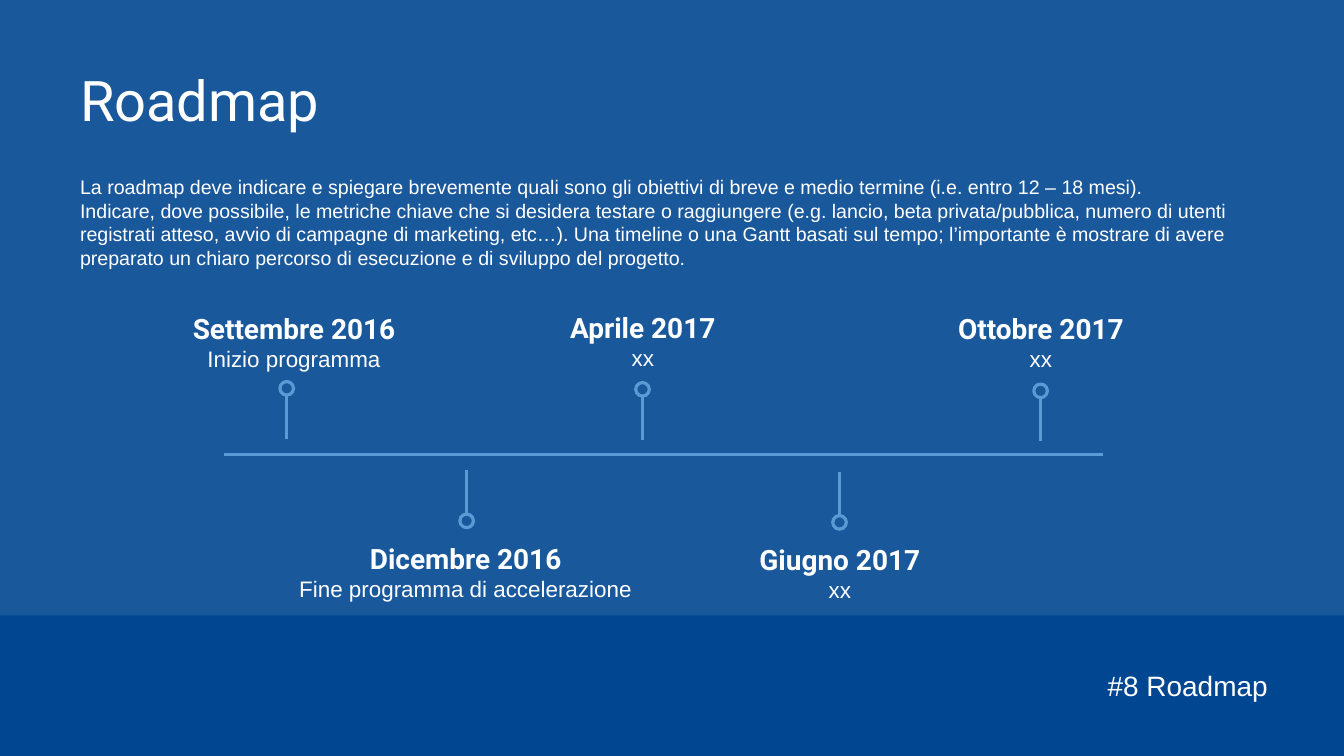
from lxml import etree
from pptx import Presentation
from pptx.dml.color import RGBColor
from pptx.enum.shapes import MSO_CONNECTOR, MSO_SHAPE
from pptx.enum.text import PP_ALIGN
from pptx.oxml.ns import qn
from pptx.util import Inches, Pt

NAVY = RGBColor(0x00, 0x46, 0x91)
WHITE = RGBColor(0xFF, 0xFF, 0xFF)
SKY = RGBColor(0x5B, 0x9B, 0xD5)

CIRCLE = 0.27
STEM = 0.87

presentation = Presentation()
presentation.slide_width = Inches(26.67)
presentation.slide_height = Inches(15)
slide = presentation.slides.add_slide(presentation.slide_layouts[6])
slide.background.fill.solid()
slide.background.fill.fore_color.rgb = NAVY


def add_text(lines, left, top, width, height, align=PP_ALIGN.LEFT, margin_top=0.05):
    box = slide.shapes.add_textbox(Inches(left), Inches(top), Inches(width), Inches(height))
    frame = box.text_frame
    frame.word_wrap = True
    frame.margin_top = Inches(margin_top)
    for index, (text, size, font, bold) in enumerate(lines):
        paragraph = frame.paragraphs[0] if index == 0 else frame.add_paragraph()
        paragraph.alignment = align
        run = paragraph.add_run()
        run.text = text
        run.font.size = Pt(size)
        run.font.name = font
        run.font.bold = bold
        run.font.color.rgb = WHITE


def add_line(start_x, start_y, end_x, end_y):
    line = slide.shapes.add_connector(
        MSO_CONNECTOR.STRAIGHT, Inches(start_x), Inches(start_y), Inches(end_x), Inches(end_y)
    )
    line.line.color.rgb = SKY
    line.line.width = Pt(4.5)
    etree.SubElement(line._element.spPr, qn("a:effectLst"))


panel = slide.shapes.add_shape(MSO_SHAPE.RECTANGLE, 0, 0, presentation.slide_width, Inches(12.21))
panel.shadow.inherit = False
panel.fill.solid()
panel.fill.fore_color.rgb = WHITE
panel.line.fill.background()
color = panel._element.spPr.find(qn("a:solidFill"))[0]
etree.SubElement(color, qn("a:alpha"), val="10000")

add_text([("#8 Roadmap", 40, "Arial", False)], 21.88, 13.21, 3.5, 0.77)
add_text([("Roadmap", 80, "Roboto", False)], 1.49, 1.26, 11.03, 1.45)

introduction = [
    "La roadmap deve indicare e spiegare brevemente quali sono gli obiettivi di breve e medio termine "
    "(i.e. entro 12 – 18 mesi).",
    "Indicare, dove possibile, le metriche chiave che si desidera testare o raggiungere (e.g. lancio, "
    "beta privata/pubblica, numero di utenti registrati atteso, avvio di campagne di marketing, etc…). "
    "Una timeline o una Gantt basati sul tempo; l’importante è mostrare di avere preparato un chiaro "
    "percorso di esecuzione e di sviluppo del progetto.",
]
add_text([(text, 28, "Arial", False) for text in introduction], 1.49, 2.97, 23.59, 2.46, margin_top=0.5)

add_line(4.44, 9.01, 21.88, 9.01)

milestones = [
    ("Settembre 2016", "Inizio programma", 5.69, 7.57, True, (3.7, 6.13, 4.27, 1.31)),
    ("Dicembre 2016", "Fine programma di accelerazione", 9.26, 10.2, False, (5.71, 10.69, 7.06, 1.92)),
    ("Aprile 2017", "xx", 12.75, 7.59, True, (9.41, 6.11, 6.69, 1.92)),
    ("Giugno 2017", "xx", 16.66, 10.23, False, (13.32, 10.71, 6.69, 1.92)),
    ("Ottobre 2017", "xx", 20.65, 7.62, True, (17.31, 6.14, 6.69, 1.92)),
]
for date, goal, center, circle_top, above, label in milestones:
    stem_start = circle_top + CIRCLE if above else circle_top
    stem_end = stem_start + STEM if above else stem_start - STEM
    add_line(center, stem_start, center, stem_end)
    circle = slide.shapes.add_shape(
        MSO_SHAPE.OVAL, Inches(center - CIRCLE / 2), Inches(circle_top), Inches(CIRCLE), Inches(CIRCLE)
    )
    circle.shadow.inherit = False
    circle.fill.background()
    circle.line.color.rgb = SKY
    circle.line.width = Pt(4.5)
    add_text([(date, 40, "Roboto", True), (goal, 32, "Arial", False)], *label, align=PP_ALIGN.CENTER)

presentation.save("out.pptx")
